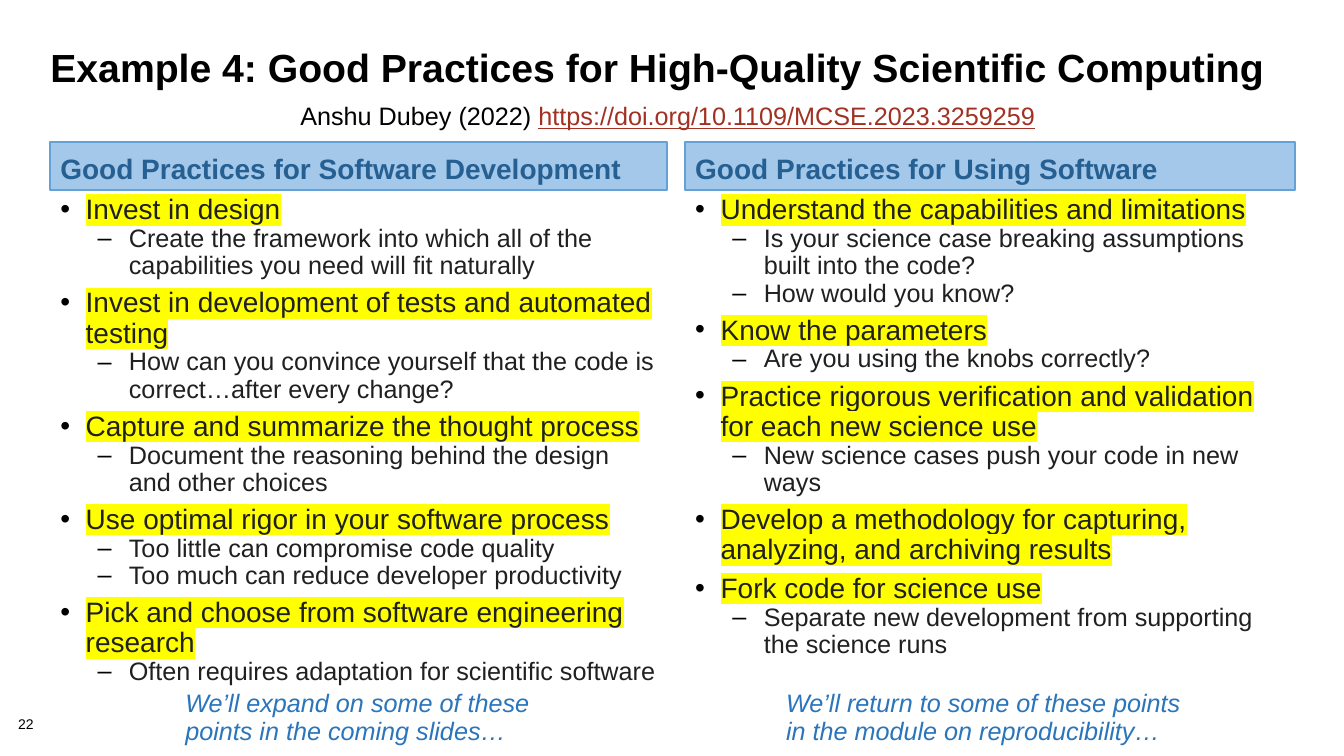
from dataclasses import dataclass

from lxml.etree import SubElement
from pptx import Presentation
from pptx.dml.color import RGBColor
from pptx.enum.shapes import MSO_SHAPE
from pptx.enum.text import MSO_ANCHOR, PP_ALIGN
from pptx.oxml import parse_xml
from pptx.oxml.ns import nsdecls, qn
from pptx.util import Cm, Pt


@dataclass(frozen=True)
class Theme:
    font: str = "Arial"
    black: str = "000000"
    body: str = "202020"
    highlight: str = "FFFF00"
    heading: str = "266093"
    heading_fill: str = "A3C8EA"
    heading_line: str = "64A1D7"
    link: str = "A03123"
    note: str = "2A75BB"
    title_size: int = 28
    point_size: int = 20
    text_size: int = 18
    number_size: int = 10


THEME = Theme()
TEXT_INSETS = (0.25, 0.13, 0.25, 0.13)
NOTE_INSETS = (0.33, 0.25, 0.33, 0.25)
NO_INSETS = (0, 0, 0, 0)
HEADING_HEIGHT = 1.22
NOTE_TOP = 13.57

DEVELOPMENT_POINTS = [
    ("Invest in design",
     ["Create the framework into which all of the capabilities you need will fit naturally"]),
    ("Invest in development of tests and automated testing",
     ["How can you convince yourself that the code is correct…after every change?"]),
    ("Capture and summarize the thought process",
     ["Document the reasoning behind the design and other choices"]),
    ("Use optimal rigor in your software process",
     ["Too little can compromise code quality",
      "Too much can reduce developer productivity"]),
    ("Pick and choose from software engineering research",
     ["Often requires adaptation for scientific software"]),
]
USAGE_POINTS = [
    ("Understand the capabilities and limitations",
     ["Is your science case breaking assumptions built into the code?",
      "How would you know?"]),
    ("Know the parameters", ["Are you using the knobs correctly?"]),
    ("Practice rigorous verification and validation for each new science use",
     ["New science cases push your code in new ways"]),
    ("Develop a methodology for capturing, analyzing, and archiving results", []),
    ("Fork code for science use",
     ["Separate new development from supporting the science runs"]),
]


def set_attributes(target, values):
    for name, value in values.items():
        setattr(target, name, value)


def prepare_frame(shape, insets=TEXT_INSETS, anchor=MSO_ANCHOR.TOP):
    left, top, right, bottom = map(Cm, insets)
    frame = shape.text_frame
    set_attributes(frame, {
        "word_wrap": True, "vertical_anchor": anchor,
        "margin_left": left, "margin_top": top,
        "margin_right": right, "margin_bottom": bottom,
    })
    return frame


def add_text_frame(slide, box, insets=TEXT_INSETS, anchor=MSO_ANCHOR.TOP):
    return prepare_frame(slide.shapes.add_textbox(*map(Cm, box)), insets, anchor)


def add_run(paragraph, text, size, color, **styles):
    run = paragraph.add_run()
    run.text = text
    set_attributes(run.font, {"name": THEME.font, "size": Pt(size), **styles})
    run.font.color.rgb = RGBColor.from_string(color)
    return run


def highlight(run):
    mark = parse_xml(f'<a:highlight {nsdecls("a")}>'
                     f'<a:srgbClr val="{THEME.highlight}"/></a:highlight>')
    run.font._element.find(qn("a:solidFill")).addnext(mark)


def set_bullet(paragraph, character, margin, indent):
    properties = paragraph._p.get_or_add_pPr()
    properties.set("marL", str(Cm(margin)))
    properties.set("indent", str(Cm(indent)))
    color = SubElement(properties, qn("a:buClr"))
    SubElement(color, qn("a:srgbClr"), val=THEME.black)
    SubElement(properties, qn("a:buFont"), typeface=THEME.font)
    SubElement(properties, qn("a:buChar"), char=character)


def add_title(slide, box):
    paragraph = add_text_frame(slide, box).paragraphs[0]
    paragraph.line_spacing = 0.85
    add_run(paragraph, "Example 4: Good Practices for High-Quality Scientific Computing",
            THEME.title_size, THEME.black, bold=True)


def add_citation(slide, box):
    paragraph = add_text_frame(slide, box).paragraphs[0]
    add_run(paragraph, "Anshu Dubey (2022) ", THEME.text_size, THEME.black)
    add_run(paragraph, "https://doi.org/10.1109/MCSE.2023.3259259",
            THEME.text_size, THEME.link, underline=True)


def add_page_number(slide, box):
    paragraph = add_text_frame(slide, box, NO_INSETS).paragraphs[0]
    paragraph.line_spacing = 0.9
    add_run(paragraph, "22", THEME.number_size, THEME.black)


def add_heading(slide, box, text):
    shape = slide.shapes.add_shape(MSO_SHAPE.RECTANGLE, *map(Cm, box))
    shape.shadow.inherit = False
    shape.fill.solid()
    shape.fill.fore_color.rgb = RGBColor.from_string(THEME.heading_fill)
    shape.line.color.rgb = RGBColor.from_string(THEME.heading_line)
    shape.line.width = Pt(1.5)
    paragraph = prepare_frame(shape, anchor=MSO_ANCHOR.BOTTOM).paragraphs[0]
    set_attributes(paragraph, {"alignment": PP_ALIGN.LEFT, "line_spacing": 0.9})
    add_run(paragraph, text, THEME.point_size, THEME.heading, bold=True)


def add_points(slide, box, points):
    frame = add_text_frame(slide, box)
    for index, (point, details) in enumerate(points):
        paragraph = frame.add_paragraph() if index else frame.paragraphs[0]
        set_attributes(paragraph, {"line_spacing": 0.9, "space_before": Pt(6 if index else 0)})
        set_bullet(paragraph, "•", 0.64, -0.64)
        highlight(add_run(paragraph, point, THEME.point_size, THEME.body))
        for detail in details:
            paragraph = frame.add_paragraph()
            set_attributes(paragraph, {"level": 1, "line_spacing": 0.9, "space_before": Pt(0)})
            set_bullet(paragraph, "–", 1.73, -0.79)
            add_run(paragraph, detail, THEME.text_size, THEME.body)


def add_practice_column(slide, box, heading, points, note, note_offset, note_width):
    """Stack a heading, its bulleted points and a closing note in the box."""
    left, top, width, height = box
    add_heading(slide, (left, top, width, HEADING_HEIGHT), heading)
    add_points(slide, (left, top + HEADING_HEIGHT, width, height - HEADING_HEIGHT), points)
    note_box = (left + note_offset, top + NOTE_TOP, note_width, 1.9)
    paragraph = add_text_frame(slide, note_box, NOTE_INSETS, MSO_ANCHOR.MIDDLE).paragraphs[0]
    paragraph.line_spacing = 0.9
    add_run(paragraph, note, THEME.text_size, THEME.note, italic=True)


def main():
    presentation = Presentation()
    set_attributes(presentation, {"slide_width": Cm(33.87), "slide_height": Cm(19.05)})
    slide = presentation.slides.add_slide(presentation.slide_layouts[6])
    add_page_number(slide, (0.46, 18.08, 1.42, 0.41))
    add_title(slide, (1.02, 1.14, 31.6, 2.54))
    add_practice_column(
        slide, (1.27, 3.58, 15.54, 10.6), "Good Practices for Software Development",
        DEVELOPMENT_POINTS, "We’ll expand on some of these points in the coming slides…",
        3.07, 9.4)
    add_practice_column(
        slide, (17.27, 3.58, 15.37, 10.6), "Good Practices for Using Software",
        USAGE_POINTS, "We’ll return to some of these points in the module on reproducibility…",
        2.21, 10.92)
    add_citation(slide, (7.32, 2.41, 19.23, 1.02))
    presentation.save("out.pptx")


if __name__ == "__main__":
    main()
